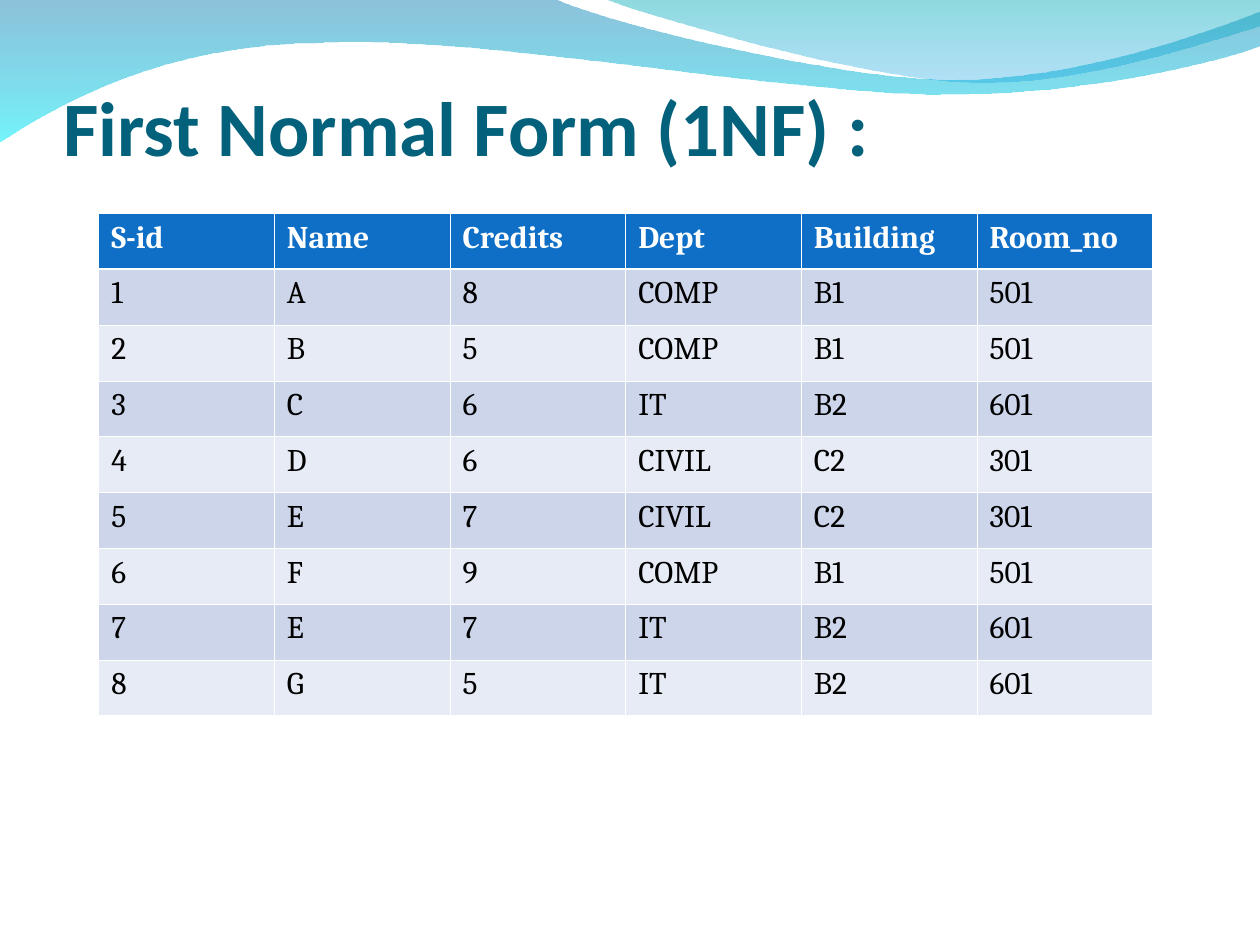
from lxml.etree import SubElement
from pptx import Presentation
from pptx.dml.color import RGBColor
from pptx.enum.text import MSO_ANCHOR
from pptx.oxml.ns import qn
from pptx.util import Pt

COLORS = {
    "white": "FFFFFF", "black": "000000", "title": "04617B",
    "header": "0F6FC6", "odd_row": "CCD5EA", "even_row": "E7EBF5",
    "deep_blue": "0079AF", "cyan": "00EBF8", "teal": "00ADB6", "sky": "009BE5",
}


def write_text(text_frame, text, font, size, color, bold=False):
    paragraph = text_frame.paragraphs[0]
    run = paragraph.add_run()
    run.text = text
    run.font.name = font
    run.font.size = Pt(size)
    run.font.bold = bold
    run.font.color.rgb = RGBColor.from_string(COLORS[color])


def add_border(cell, side, width):
    line = SubElement(cell._tc.get_or_add_tcPr(), qn(f"a:ln{side}"), w=str(Pt(width)))
    fill = SubElement(line, qn("a:solidFill"))
    SubElement(fill, qn("a:srgbClr"), val=COLORS["white"])


presentation = Presentation()
presentation.slide_width, presentation.slide_height = Pt(720), Pt(540)
slide = presentation.slides.add_slide(presentation.slide_layouts[6])

# Waves along the top: one point is a straight line, three points are a Bézier curve
waves = [
    {
        "start": (0, -0.7),
        "segments": [
            [(316.8, -0.7)],
            [(342.7, 12.2), (478.1, 45.4), (545.8, 45.4)],
            [(614.2, 45.4), (689.8, 18.7), (720, 6.5)],
            [(720.7, 25.9)],
            [(707.8, 31.7), (626.4, 54.7), (537.1, 54)],
            [(447.8, 54), (275, 20.2), (185, 24.5)],
            [(92.2, 25.2), (33.1, 59.8), (-0.7, 81.4)],
            [(0, -0.7)],
        ],
        "stops": [("deep_blue", 45), ("cyan", 55)],
    },
    {
        "start": (344.9, -0.7),
        "segments": [
            [(366.5, 7.9), (491, 44.6), (553.7, 46.8)],
            [(616.3, 49.7), (691.9, 23), (720, 15.1)],
            [(720, 0)],
            [(344.9, -0.7)],
        ],
        "stops": [("teal", 45), ("sky", 30)],
    },
]
for wave in waves:
    points = [(Pt(x), Pt(y)) for segment in wave["segments"] for x, y in segment]
    start_x, start_y = wave["start"]
    builder = slide.shapes.build_freeform(Pt(start_x), Pt(start_y))
    builder.add_line_segments(points, close=True)
    shape = builder.convert_to_shape()

    # Join each run of three points into one curve
    lines = iter(list(shape._element.iter(qn("a:lnTo"))))
    for segment in wave["segments"]:
        parts = [next(lines) for _ in segment]
        if len(parts) == 3:
            parts[0].tag = qn("a:cubicBezTo")
            for part in parts[1:]:
                parts[0].append(part[0])
                part.getparent().remove(part)

    shape.shadow.inherit = False
    shape.line.fill.background()
    shape.fill.gradient()
    shape.fill.gradient_angle = 270
    for stop, position, (color, _) in zip(shape.fill.gradient_stops, (0, 1), wave["stops"]):
        stop.position = position
        stop.color.rgb = RGBColor.from_string(COLORS[color])
    for element, (_, opacity) in zip(shape._element.spPr.iter(qn("a:srgbClr")), wave["stops"]):
        SubElement(element, qn("a:alpha"), val=str(opacity * 1000))

# Title
title = slide.shapes.add_textbox(Pt(36.2), Pt(42.8), Pt(648), Pt(55.4))
title_frame = title.text_frame
title_frame.word_wrap = True
title_frame.vertical_anchor = MSO_ANCHOR.BOTTOM
title_frame.margin_left = title_frame.margin_right = title_frame.margin_bottom = 0
title_frame.margin_top = Pt(3.6)
write_text(title_frame, "First Normal Form (1NF) :", font="Calibri", size=44,
           color="title", bold=True)

# Student table
rows = [
    ("S-id", "Name", "Credits", "Dept", "Building", "Room_no"),
    ("1", "A", "8", "COMP", "B1", "501"),
    ("2", "B", "5", "COMP", "B1", "501"),
    ("3", "C", "6", "IT", "B2", "601"),
    ("4", "D", "6", "CIVIL", "C2", "301"),
    ("5", "E", "7", "CIVIL", "C2", "301"),
    ("6", "F", "9", "COMP", "B1", "501"),
    ("7", "E", "7", "IT", "B2", "601"),
    ("8", "G", "5", "IT", "B2", "601"),
]
column_width, row_height = 100.4, 31.9
table = slide.shapes.add_table(
    len(rows), len(rows[0]), Pt(56.4), Pt(122),
    Pt(column_width * len(rows[0])), Pt(row_height * len(rows))).table
for column in table.columns:
    column.width = Pt(column_width)
for row_index, values in enumerate(rows):
    table.rows[row_index].height = Pt(row_height)
    is_header = row_index == 0
    fill_color = "header" if is_header else "odd_row" if row_index % 2 else "even_row"
    for column_index, value in enumerate(values):
        cell = table.cell(row_index, column_index)
        add_border(cell, "L", 0.45)
        add_border(cell, "R", 0.45)
        add_border(cell, "T", 1.47 if row_index == 1 else 0.45)
        add_border(cell, "B", 1.47 if is_header else 0.45)
        cell.fill.solid()
        cell.fill.fore_color.rgb = RGBColor.from_string(COLORS[fill_color])
        write_text(cell.text_frame, value, font="Cambria", size=18,
                   color="white" if is_header else "black", bold=is_header)

presentation.save("out.pptx")
